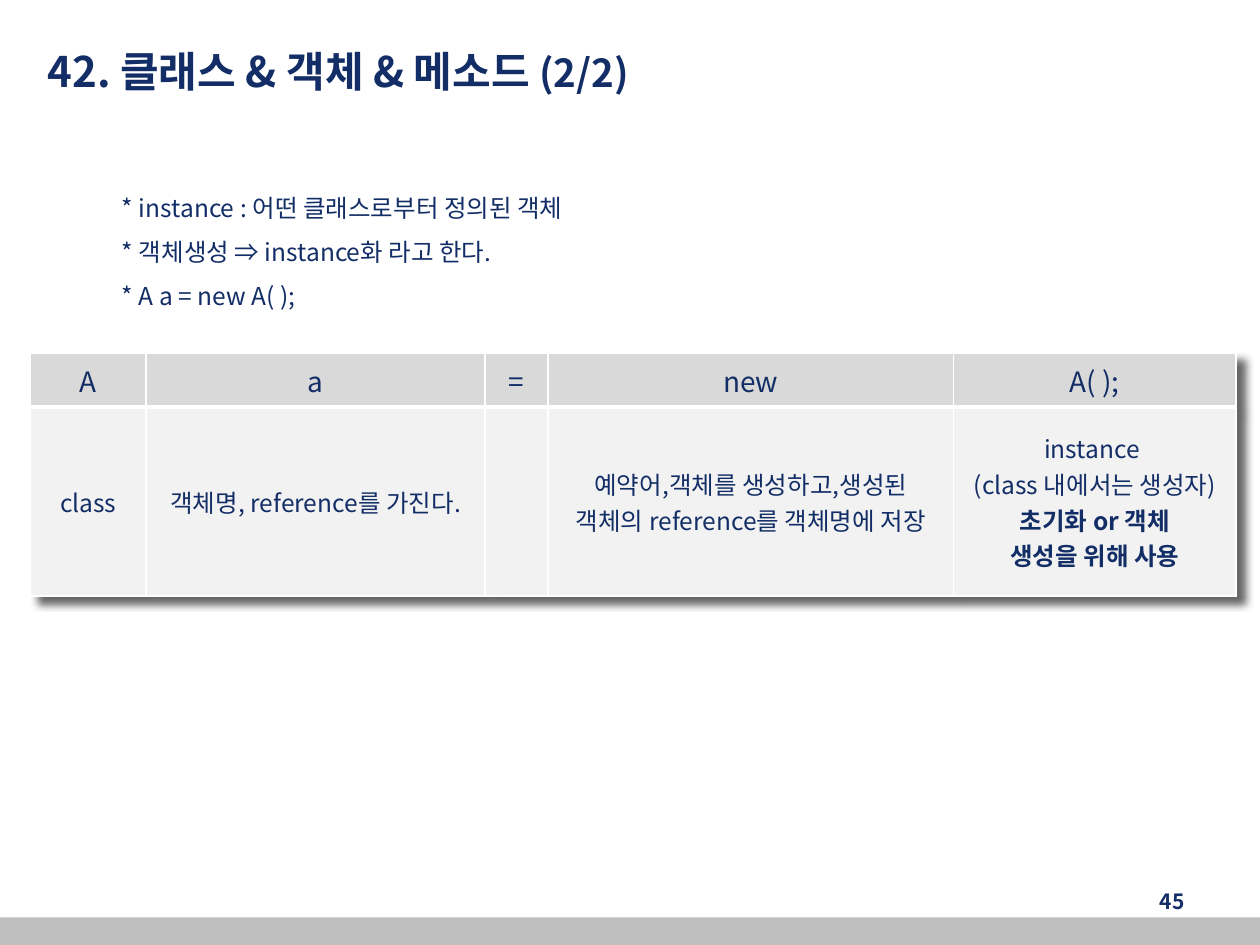
from lxml import etree
from pptx import Presentation
from pptx import util as u
from pptx.dml.color import RGBColor
from pptx.enum import shapes, text
from pptx.oxml import ns

FONT = "Noto Sans CJK KR"
NAVY = "132E66"
WHITE = "FFFFFF"
HEADERS = ["A", "a", "=", "new", "A( );"]
DESCRIPTIONS = [
    ["class"],
    ["객체명, reference를 가진다."],
    [],
    ["예약어,객체를 생성하고,생성된", "객체의 reference를 객체명에 저장"],
    ["instance ", "(class 내에서는 생성자)", "초기화 or 객체", "생성을 위해 사용"],
]
BOLD_LINES = DESCRIPTIONS[-1][2:]
COLUMN_WIDTHS = [0.92, 2.69, 0.5, 3.22, 2.24]
ROW_HEIGHTS = [0.43, 1.5]


def color(value):
    return RGBColor.from_string(value)


def add_element(parent, tag, **attributes):
    return etree.SubElement(parent, ns.qn(tag), attributes)


def style(paragraph, size, bold=False, align=text.PP_ALIGN.LEFT):
    paragraph.alignment = align
    font = paragraph.font
    font.name, font.size, font.bold = FONT, u.Pt(size), bold
    font.color.rgb = color(NAVY)
    defaults = paragraph._p.pPr.find(ns.qn("a:defRPr"))
    add_element(defaults, "a:ea", typeface=FONT)


def add_text(slide, box, lines, size, bold=False, align=text.PP_ALIGN.LEFT,
             anchor=text.MSO_ANCHOR.MIDDLE, gap=0):
    frame = slide.shapes.add_textbox(*map(u.Inches, box)).text_frame
    frame.word_wrap = True
    frame.vertical_anchor = anchor
    frame.text = "\n".join(lines)
    for index, paragraph in enumerate(frame.paragraphs):
        style(paragraph, size, bold, align)
        if index and gap:
            paragraph.space_before = u.Pt(gap)
    return frame


def add_footer_bar(slide):
    bar = slide.shapes.add_shape(shapes.MSO_SHAPE.RECTANGLE, u.Inches(0), u.Inches(7.28),
                                 u.Inches(10), u.Inches(0.22))
    bar.shadow.inherit = False
    bar.fill.solid()
    bar.fill.fore_color.rgb = color("BFBFBF")
    bar.line.fill.background()


def set_borders(cell, bottom):
    properties = cell._tc.get_or_add_tcPr()
    widths = {"a:lnL": 1, "a:lnR": 1, "a:lnT": 1, "a:lnB": bottom}
    for position, (tag, width) in enumerate(widths.items()):
        line = add_element(properties, tag, w=str(u.Pt(width)))
        add_element(add_element(line, "a:solidFill"), "a:srgbClr", val=WHITE)
        properties.insert(position, line)


def fill_cell(cell, lines, size, fill, bottom):
    cell.fill.solid()
    cell.fill.fore_color.rgb = color(fill)
    cell.vertical_anchor = text.MSO_ANCHOR.MIDDLE
    cell.text = "\n".join(lines)
    for paragraph in cell.text_frame.paragraphs:
        style(paragraph, size, paragraph.text in BOLD_LINES, text.PP_ALIGN.CENTER)
    set_borders(cell, bottom)


def add_table_shadow(table):
    effects = add_element(table._tbl.tblPr, "a:effectLst")
    table._tbl.tblPr.insert(0, effects)
    shadow = add_element(effects, "a:outerShdw", blurRad=str(u.Pt(4)), dist=str(u.Pt(6)),
                         dir="2700000", algn="tl", rotWithShape="0")
    shade = add_element(shadow, "a:srgbClr", val="000000")
    add_element(shade, "a:alpha", val="60000")


def add_syntax_table(slide):
    frame = slide.shapes.add_table(2, len(HEADERS), u.Inches(0.24), u.Inches(2.8),
                                   u.Inches(sum(COLUMN_WIDTHS)), u.Inches(sum(ROW_HEIGHTS)))
    table = frame.table
    for row, height in zip(table.rows, ROW_HEIGHTS):
        row.height = u.Inches(height)
    for index, width in enumerate(COLUMN_WIDTHS):
        table.columns[index].width = u.Inches(width)
        fill_cell(table.cell(0, index), [HEADERS[index]], 16, "D9D9D9", 3)
        fill_cell(table.cell(1, index), DESCRIPTIONS[index], 14, "F2F2F2", 1)
    add_table_shadow(table)


def add_title(slide):
    frame = add_text(slide, (0.28, 0.13, 7.17, 0.87), ["42. 클래스 & 객체 & 메소드 "], 24, bold=True)
    part = frame.paragraphs[0].add_run()
    part.text = "(2/2)"
    part.font.size = u.Pt(22)


def main():
    presentation = Presentation()
    presentation.slide_width, presentation.slide_height = u.Inches(10), u.Inches(7.5)
    slide = presentation.slides.add_slide(presentation.slide_layouts[6])
    add_footer_bar(slide)
    add_text(slide, (7.17, 6.95, 2.33, 0.4), ["45"], 12, bold=True, align=text.PP_ALIGN.RIGHT)
    notes = ["* instance : 어떤 클래스로부터 정의된 객체",
             "* 객체생성 ⇒ instance화 라고 한다.",
             "* A a = new A( );"]
    add_text(slide, (0.87, 1.48, 7.84, 1.13), notes, 14, anchor=text.MSO_ANCHOR.TOP, gap=8.5)
    add_syntax_table(slide)
    add_title(slide)
    presentation.save("out.pptx")


if __name__ == "__main__":
    main()
